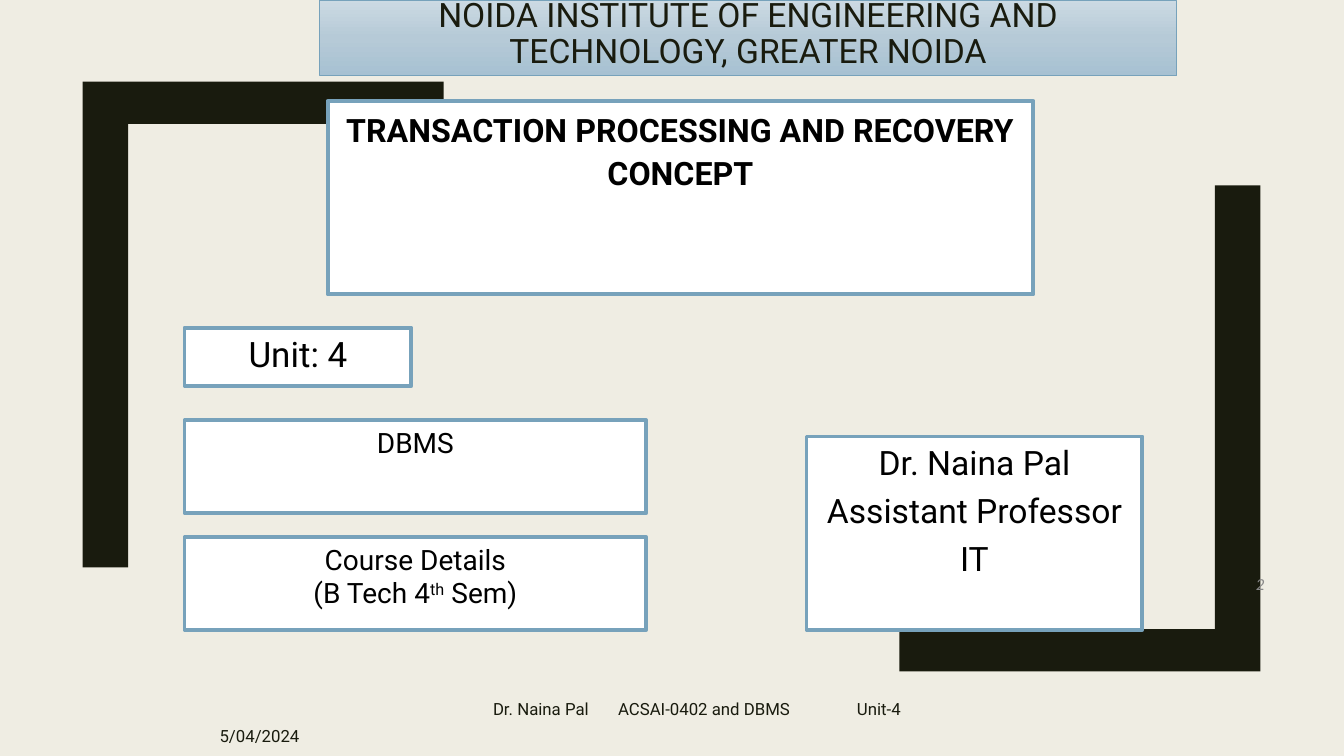
from copy import deepcopy

from pptx import Presentation
from pptx.dml.color import RGBColor
from pptx.enum.shapes import MSO_SHAPE
from pptx.enum.text import MSO_ANCHOR, PP_ALIGN
from pptx.oxml.ns import qn
from pptx.util import Inches, Pt
from lxml.etree import SubElement

CREAM = RGBColor(0xEF, 0xED, 0xE3)
INK = RGBColor(0x19, 0x1B, 0x0E)
BLACK = RGBColor(0x00, 0x00, 0x00)
WHITE = RGBColor(0xFF, 0xFF, 0xFF)
GRAY = RGBColor(0x89, 0x89, 0x89)
STEEL = RGBColor(0x77, 0xA2, 0xBB)
BANNER_STOPS = (
    (0, RGBColor(0xCC, 0xDA, 0xE3)),
    (0.5, RGBColor(0xB6, 0xCA, 0xD7)),
    (1, RGBColor(0xA7, 0xC1, 0xD2)),
)


def write(frame, lines, size, color, align=PP_ALIGN.CENTER, anchor=MSO_ANCHOR.TOP,
          font="Roboto", bold=False, italic=False, spacing=None, gap=None):
    frame.word_wrap = True
    frame.vertical_anchor = anchor
    for index, line in enumerate(lines):
        paragraph = frame.paragraphs[0] if index == 0 else frame.add_paragraph()
        paragraph.text = line
        paragraph.alignment = align
        if spacing:
            paragraph.line_spacing = spacing
        if gap and index:
            paragraph.space_before = Pt(gap)
        for run in paragraph.runs:
            run.font.name = font
            run.font.size = Pt(size)
            run.font.bold = bold
            run.font.italic = italic
            run.font.color.rgb = color


def add_bracket(slide, corner_x, corner_y, direction):
    length, height, upright, bar = 3.58, 4.82, 0.45, 0.42
    outline = [(0, 0), (length, 0), (length, bar), (upright, bar),
               (upright, height), (0, height)]
    points = [(Inches(corner_x + direction * x), Inches(corner_y + direction * y))
              for x, y in outline]
    builder = slide.shapes.build_freeform(*points[0])
    builder.add_line_segments(points[1:], close=True)
    bracket = builder.convert_to_shape()
    bracket.shadow.inherit = False
    bracket.fill.solid()
    bracket.fill.fore_color.rgb = INK
    bracket.line.fill.background()


def add_panel(slide, box, line_width=2.75):
    panel = slide.shapes.add_shape(MSO_SHAPE.RECTANGLE, *map(Inches, box))
    panel.shadow.inherit = False
    panel.fill.solid()
    panel.fill.fore_color.rgb = WHITE
    panel.line.color.rgb = STEEL
    panel.line.width = Pt(line_width)
    return panel


def add_banner(slide, box, institute):
    banner = add_panel(slide, box, 0.5)
    banner.fill.gradient()
    banner.fill.gradient_angle = 270
    stop_list = next(banner.element.iter(qn("a:gsLst")))
    stop_list.insert(1, deepcopy(stop_list[0]))
    for stop, (position, color) in zip(banner.fill.gradient_stops, BANNER_STOPS):
        stop.position = position
        stop.color.rgb = color
    write(banner.text_frame, [institute], 24, INK,
          anchor=MSO_ANCHOR.BOTTOM, spacing=0.89)


def add_course(slide, box):
    course = add_panel(slide, box).text_frame
    write(course, ["Course Details\n(B Tech 4"], 20, BLACK)
    details = course.paragraphs[0]
    for text, baseline in (("th", "30000"), (" Sem)", "0")):
        run = details.add_run()
        run.text = text
        run.font.name = "Roboto"
        run.font.size = Pt(20)
        run.font.color.rgb = BLACK
        run.font.element.set("baseline", baseline) if hasattr(run.font, "element") \
            else run._r.get_or_add_rPr().set("baseline", baseline)


def add_note(slide, box, text, **style):
    note = slide.shapes.add_textbox(*map(Inches, box)).text_frame
    write(note, [text], 12, anchor=MSO_ANCHOR.MIDDLE, **style)
    return note


def add_footer(slide, box):
    footer = add_note(slide, box, "Dr. Naina Pal\tACSAI-0402 and DBMS\tUnit-4",
                      color=INK, align=PP_ALIGN.LEFT)
    footer.margin_left = Inches(0.72)
    tabs = SubElement(footer.paragraphs[0]._p.get_or_add_pPr(), qn("a:tabLst"))
    for stop in (1.24, 3.61):
        SubElement(tabs, qn("a:tab"), pos=str(Inches(stop)), algn="l")


def build_title_slide(presentation):
    slide = presentation.slides.add_slide(presentation.slide_layouts[6])
    slide.background.fill.solid()
    slide.background.fill.fore_color.rgb = CREAM
    add_bracket(slide, 12.5, 6.66, -1)
    add_bracket(slide, 0.82, 0.81, 1)
    add_banner(slide, (3.17, 0, 8.5, 0.75),
               "NOIDA INSTITUTE OF ENGINEERING AND TECHNOLOGY, GREATER NOIDA")
    topic = add_panel(slide, (3.25, 1, 7, 1.92))
    write(topic.text_frame, ["TRANSACTION PROCESSING AND RECOVERY CONCEPT"],
          23, BLACK, bold=True, spacing=1.12)
    lecturer = add_panel(slide, (8, 4.33, 3.33, 1.92))
    write(lecturer.text_frame, ["Dr. Naina Pal", "Assistant Professor", "IT"],
          24, BLACK, gap=5.5)
    add_note(slide, (2.08, 7.1, 2.33, 0.4), "5/04/2024", color=INK,
             align=PP_ALIGN.LEFT)
    add_note(slide, (11.33, 5.44, 1.31, 0.7), "2", color=GRAY,
             align=PP_ALIGN.RIGHT, font="Calibri", italic=True)
    unit = add_panel(slide, (1.83, 3.25, 2.25, 0.58))
    write(unit.text_frame, ["Unit: 4"], 25, BLACK)
    add_footer(slide, (4.17, 6.83, 5.5, 0.4))
    subject = add_panel(slide, (1.83, 4.17, 4.58, 0.92))
    write(subject.text_frame, ["DBMS"], 20, BLACK)
    add_course(slide, (1.83, 5.33, 4.58, 0.92))


def main():
    presentation = Presentation()
    presentation.slide_width = Inches(13.33)
    presentation.slide_height = Inches(7.5)
    build_title_slide(presentation)
    presentation.save("out.pptx")


if __name__ == "__main__":
    main()
